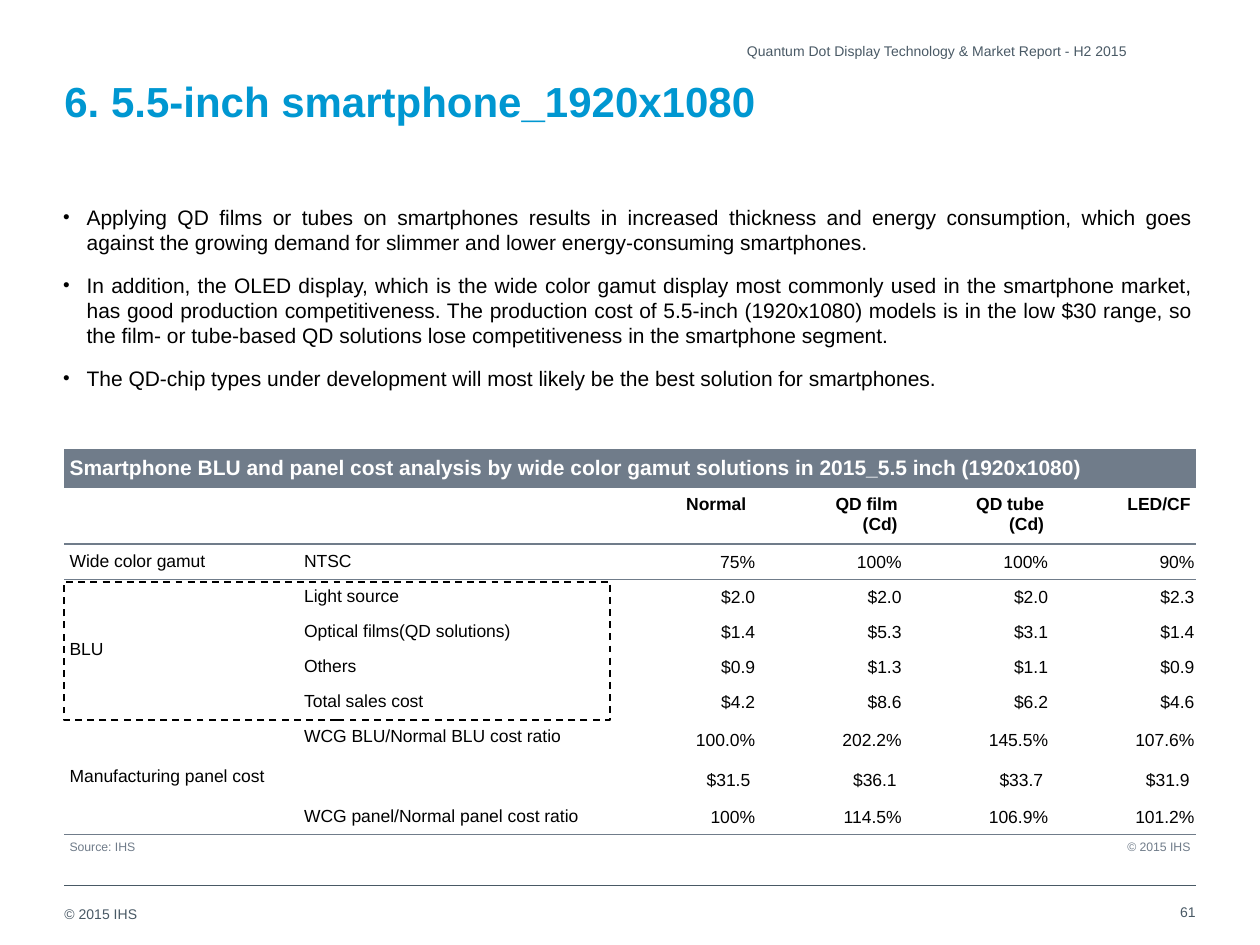
from lxml.etree import SubElement
from pptx import Presentation
from pptx.dml.color import RGBColor
from pptx.enum.dml import MSO_LINE_DASH_STYLE as Dash
from pptx.enum.shapes import MSO_CONNECTOR as Connector, MSO_SHAPE as Shape
from pptx.enum.text import MSO_ANCHOR as Anchor, PP_ALIGN as Align
from pptx.oxml import parse_xml
from pptx.oxml.ns import nsdecls, qn
from pptx.util import Pt

FONT = "Arial"
BLACK, WHITE, SLATE, GREY, BLUE = "000000", "FFFFFF", "495965", "707C8A", "0097D1"
LEFT, WIDTH = 36.8, 646.5
NO_GRID_STYLE = "{2D5ABB26-0587-4C30-8999-92F81FD0307C}"

FINDINGS = [
    "Applying QD films or tubes on smartphones results in increased thickness and energy "
    "consumption, which goes against the growing demand for slimmer and lower "
    "energy-consuming smartphones.",
    "In addition, the OLED display, which is the wide color gamut display most commonly used "
    "in the smartphone market, has good production competitiveness. The production cost of "
    "5.5-inch (1920x1080) models is in the low $30 range, so the film- or tube-based QD "
    "solutions lose competitiveness in the smartphone segment.",
    "The QD-chip types under development will most likely be the best solution for smartphones.",
]
COSTS = [
    ["Smartphone BLU and panel cost analysis by wide color gamut solutions in "
     "2015_5.5 inch (1920x1080)", "", "", "", "", ""],
    ["", "", "Normal ", "QD film\n(Cd)", "QD tube\n(Cd)", "LED/CF"],
    ["Wide color gamut", "NTSC", "75%", "100%", "100%", "90%"],
    ["BLU", "Light source", "$2.0", "$2.0", "$2.0", "$2.3"],
    ["", "Optical films(QD solutions)", "$1.4", "$5.3", "$3.1", "$1.4"],
    ["", "Others", "$0.9", "$1.3", "$1.1", "$0.9"],
    ["", "Total sales cost", "$4.2", "$8.6", "$6.2", "$4.6"],
    ["", "WCG BLU/Normal BLU cost ratio", "100.0%", "202.2%", "145.5%", "107.6%"],
    ["Manufacturing panel cost", "", "$31.5 ", "$36.1 ", "$33.7 ", "$31.9 "],
    ["", "WCG panel/Normal panel cost ratio", "100%", "114.5%", "106.9%", "101.2%"],
    ["Source: IHS", "", "", "", "", "© 2015 IHS"],
]
COLUMN_WIDTHS = [134, 177.7] + [83.7] * 4
ROW_HEIGHTS = [21.8, 30.9] + [19.7] * 5 + [22.9, 22.9, 20, 10.9]
RULES = {1: 1, 2: 0.5, 9: 1}
MERGES = [((0, 0), (0, 5)), ((3, 0), (6, 0)), ((10, 0), (10, 4))]


def rgb(hex_color):
    """Turn a hex string into a colour."""
    return RGBColor.from_string(hex_color)


def apply_format(target, formats):
    """Set each named attribute on the target."""
    for name, value in formats.items():
        setattr(target, name, value)


def margins(left, top, right, bottom):
    """Return the four inner margins as format values."""
    sides = ("left", "top", "right", "bottom")
    return {f"margin_{side}": Pt(gap) for side, gap in zip(sides, (left, top, right, bottom))}


def style_paragraph(paragraph, size, color, bold=False, align=Align.LEFT):
    """Align a paragraph and format its runs."""
    paragraph.alignment = align
    for run in paragraph.runs:
        apply_format(run.font, {"name": FONT, "size": Pt(size), "bold": bold})
        run.font.color.rgb = rgb(color)


def add_text(slide, box, lines, size, color, bold=False, align=Align.LEFT,
             anchor=Anchor.TOP, wrap=True):
    """Add a text box without insets and return its paragraphs."""
    frame = slide.shapes.add_textbox(*map(Pt, box)).text_frame
    apply_format(frame, {"word_wrap": wrap, "vertical_anchor": anchor, **margins(0, 0, 0, 0)})
    frame.text = "\n".join(lines)
    for paragraph in frame.paragraphs:
        style_paragraph(paragraph, size, color, bold, align)
    return frame.paragraphs


def add_bullets(slide, box, lines):
    """Add the justified bullet list."""
    for index, paragraph in enumerate(add_text(slide, box, lines, 12, BLACK, align=Align.JUSTIFY)):
        properties = paragraph._p.get_or_add_pPr()
        properties.set("marL", str(Pt(13.5)))
        properties.set("indent", str(-Pt(13.5)))
        SubElement(properties, qn("a:buSzPct"), val="90000")
        SubElement(properties, qn("a:buFont"), typeface=FONT)
        SubElement(properties, qn("a:buChar"), char="•")
        apply_format(paragraph, {"space_before": Pt(6 if index else 0), "space_after": Pt(4)})


def add_rule(slide, top):
    """Add the thin line above the footer."""
    rule = slide.shapes.add_connector(
        Connector.STRAIGHT, Pt(LEFT), Pt(top), Pt(LEFT + WIDTH), Pt(top))
    rule.line.color.rgb = rgb(SLATE)
    rule.line.width = Pt(0.5)
    SubElement(rule._element.spPr, qn("a:effectLst"))


def add_dashed_frame(slide, box):
    """Add the dashed outline around the BLU items."""
    frame = slide.shapes.add_shape(Shape.RECTANGLE, *map(Pt, box))
    frame.shadow.inherit = False
    frame.fill.background()
    frame.line.color.rgb = rgb(BLACK)
    apply_format(frame.line, {"width": Pt(1), "dash_style": Dash.DASH})


def add_bottom_border(cell, width):
    """Draw a grey line under a cell."""
    cell._tc.get_or_add_tcPr().insert(0, parse_xml(
        f'<a:lnB {nsdecls("a")} w="{Pt(width)}"><a:solidFill>'
        f'<a:srgbClr val="{GREY}"/></a:solidFill></a:lnB>'))


def cell_style(row, column):
    """Return the text style and cell format for a grid position."""
    align = Align.RIGHT if column > 1 else Align.LEFT
    label = margins(3, 4, 3, 4)
    if row == 0:
        return (12, WHITE, True), {"vertical_anchor": Anchor.MIDDLE, **label}
    if row == len(COSTS) - 1:
        return (7, GREY, False, align), {"vertical_anchor": Anchor.BOTTOM, **margins(3, 2.5, 3, 0)}
    if row > 1 and column > 1:
        return (10, BLACK, False, align), {"vertical_anchor": Anchor.MIDDLE,
                                           **margins(0.7, 0.7, 0.7, 0)}
    anchor = Anchor.MIDDLE if (row, column) == (3, 0) else Anchor.TOP
    return (10, BLACK, row == 1, align), {"vertical_anchor": anchor, **label}


def fill_cell(cell, text, row, column):
    """Write and format one table cell."""
    text_style, formats = cell_style(row, column)
    cell.text = text
    apply_format(cell, formats)
    for paragraph in cell.text_frame.paragraphs:
        style_paragraph(paragraph, *text_style)
        if not text:
            SubElement(paragraph._p, qn("a:endParaRPr"), sz=str(text_style[0] * 100))
    if row == 0:
        cell.fill.solid()
        cell.fill.fore_color.rgb = rgb(GREY)
    else:
        cell.fill.background()
    if row in RULES:
        add_bottom_border(cell, RULES[row])


def add_cost_table(slide, top):
    """Add the cost comparison table."""
    table = slide.shapes.add_table(len(COSTS), len(COLUMN_WIDTHS), Pt(LEFT), Pt(top),
                                   Pt(WIDTH), Pt(sum(ROW_HEIGHTS))).table
    apply_format(table, {"first_row": False, "horz_banding": False})
    table._tbl.tblPr.find(qn("a:tableStyleId")).text = NO_GRID_STYLE
    for column, width in zip(table.columns, COLUMN_WIDTHS):
        column.width = Pt(width)
    for row, height in zip(table.rows, ROW_HEIGHTS):
        row.height = Pt(height)
    for row, texts in enumerate(COSTS):
        for column, text in enumerate(texts):
            fill_cell(table.cell(row, column), text, row, column)
    for first, last in MERGES:
        table.cell(*first).merge(table.cell(*last))


def main():
    """Build the slide and save it."""
    deck = Presentation()
    apply_format(deck, {"slide_width": Pt(720), "slide_height": Pt(540)})
    slide = deck.slides.add_slide(deck.slide_layouts[6])
    add_text(slide, (LEFT, 517.7, 42.5, 9.4), ["© 2015 IHS"], 8, SLATE, wrap=False)
    add_rule(slide, 506)
    add_text(slide, (LEFT, 43.2, WIDTH, 62.6), ["6. 5.5-inch smartphone_1920x1080"],
             24, BLUE, bold=True)
    add_bullets(slide, (36, 116.8, 646, 136), FINDINGS)
    add_text(slide, (638, 512.6, 45.3, 17.3), ["61"], 8, SLATE,
             align=Align.RIGHT, anchor=Anchor.MIDDLE)
    add_text(slide, (LEFT, 21.6, 607.5, 15.1),
             ["Quantum Dot Display Technology & Market Report - H2 2015"], 8, SLATE,
             align=Align.RIGHT, anchor=Anchor.MIDDLE)
    add_dashed_frame(slide, (LEFT, 332.4, 311.8, 79.2))
    add_cost_table(slide, 256.5)
    deck.save("out.pptx")


if __name__ == "__main__":
    main()
